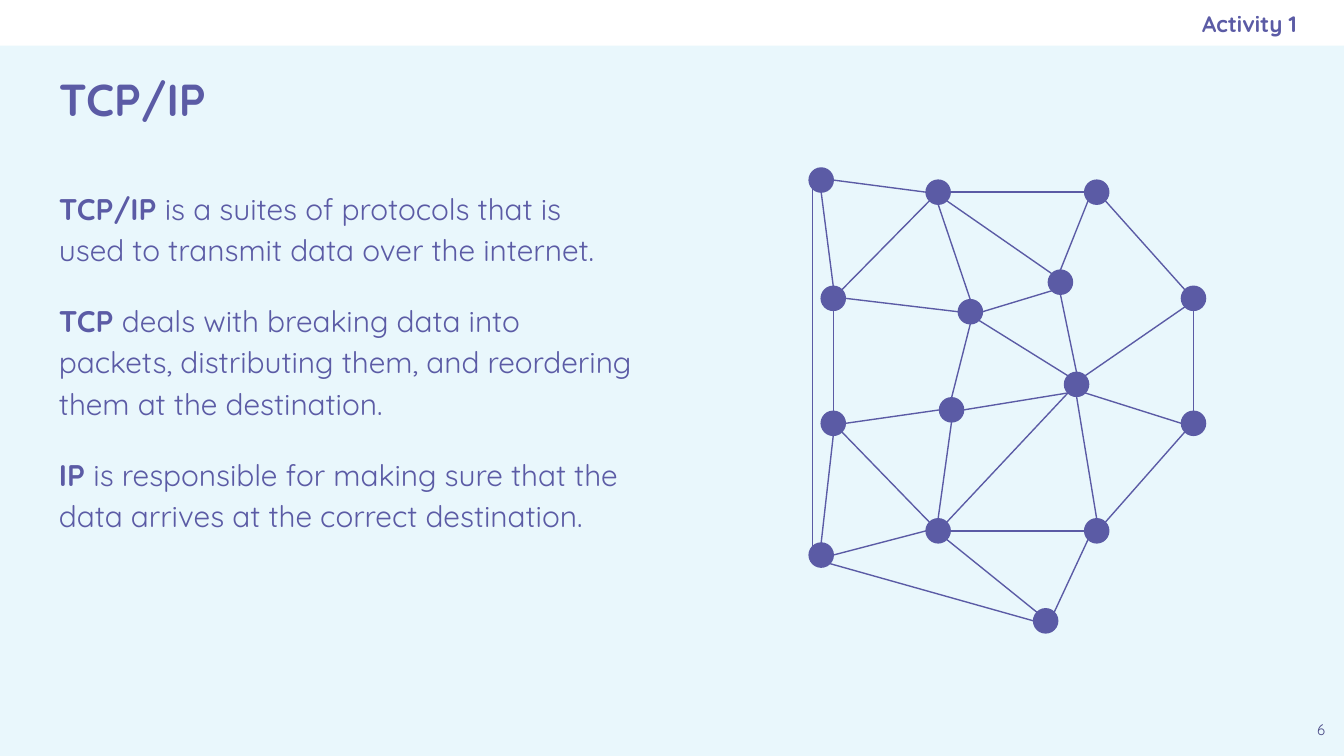
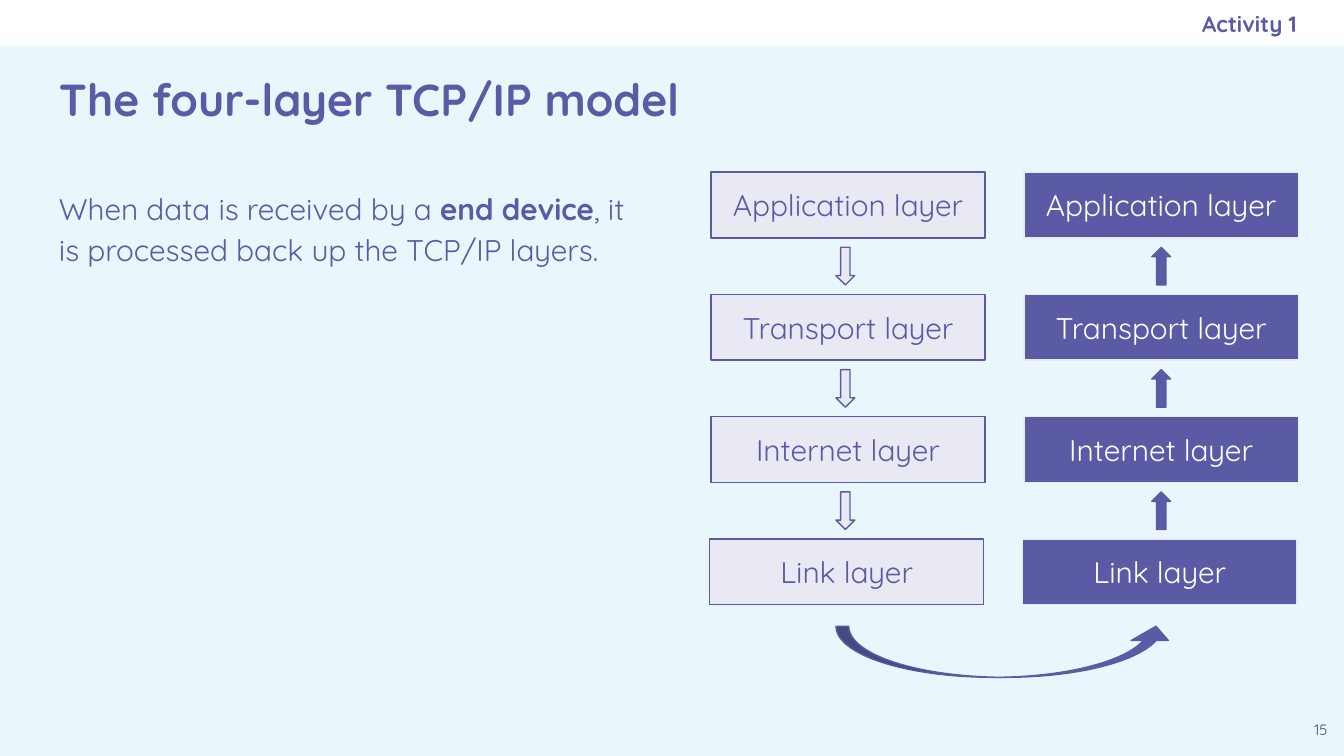
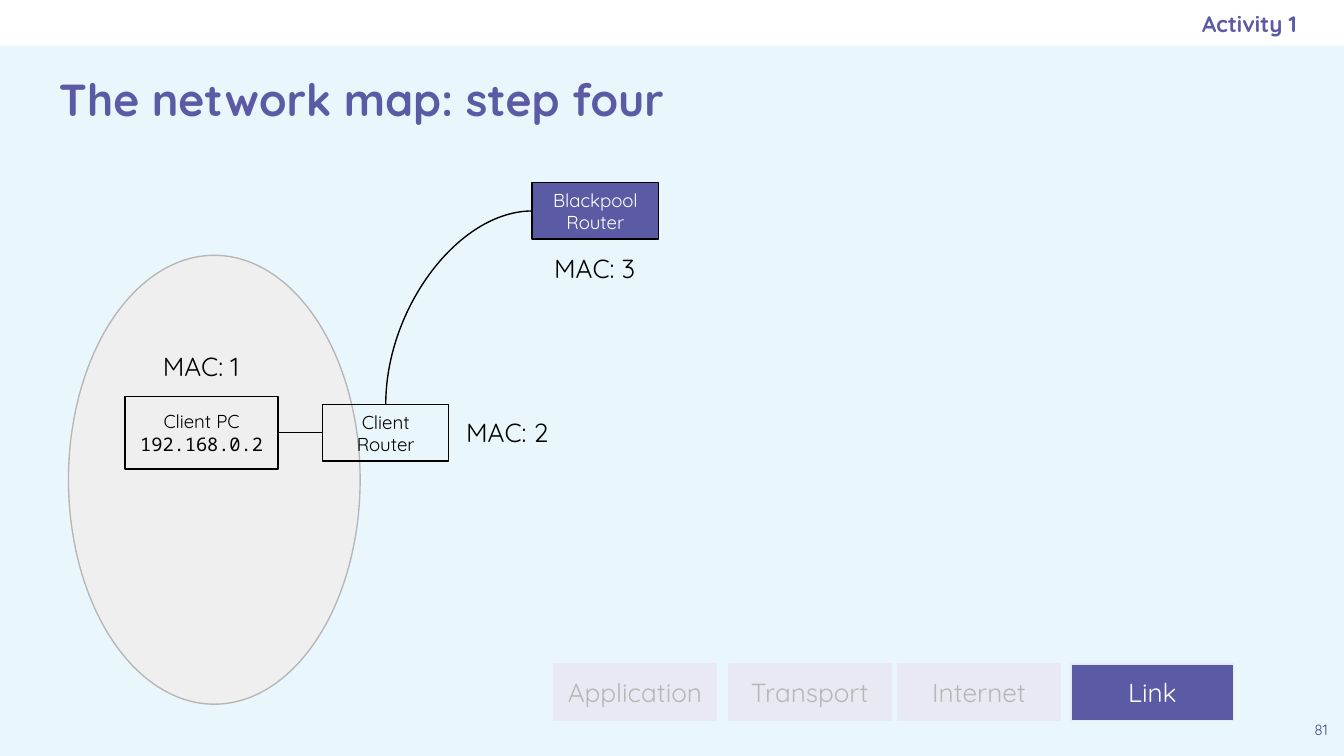
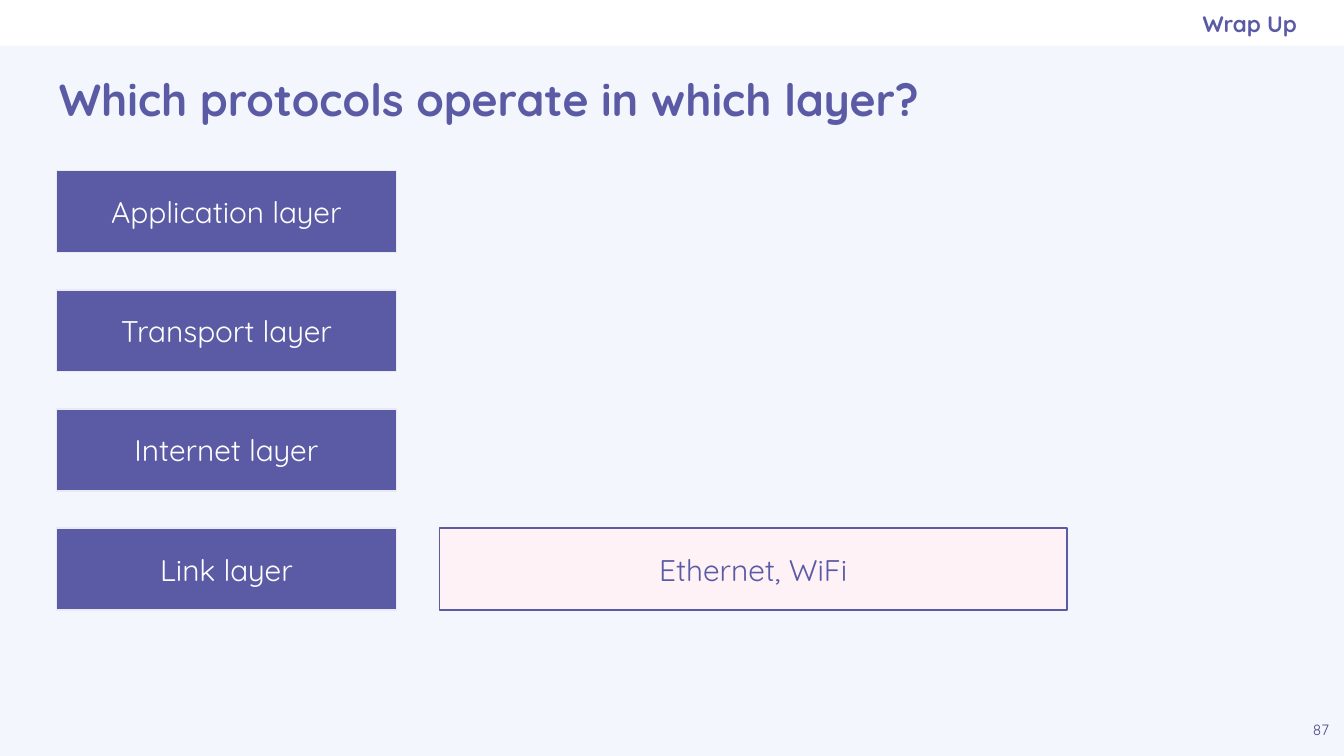
from math import cos, radians, sin

from lxml.etree import SubElement
from pptx import Presentation
from pptx.dml.color import RGBColor
from pptx.enum.shapes import MSO_CONNECTOR, MSO_SHAPE
from pptx.enum.text import MSO_ANCHOR, PP_ALIGN
from pptx.oxml.ns import qn
from pptx.util import Inches, Pt

COLORS = {
    "sky": "E9F7FC",
    "mist": "F3F6FC",
    "white": "FFFFFF",
    "black": "000000",
    "purple": "5B5BA5",
    "indigo": "494985",
    "lilac": "E9E9F3",
    "pink": "FEF2F6",
    "cloud": "EFEFEF",
    "grey": "B7B7B7",
}
FONT = "Quicksand"
CODE_FONT = "Noto Sans Mono"
LAYERS = ("Application", "Transport", "Internet", "Link")

NODE_RADIUS = 0.09
NODES = {
    "A": (6.2, 2.22), "B": (6.98, 1.43), "C": (8.16, 1.43),
    "D": (8.88, 2.22), "E": (6.2, 3.15), "F": (8.88, 3.15),
    "G": (6.98, 3.95), "H": (8.16, 3.95), "I": (6.11, 1.34),
    "J": (7.22, 2.32), "K": (7.08, 3.05), "L": (8.01, 2.86),
    "M": (7.89, 2.1), "N": (7.78, 4.62), "O": (6.11, 4.13),
}
COMPASS = {
    name: radians(45 * step)
    for step, name in enumerate(("e", "se", "s", "sw", "w", "nw", "n", "ne"))
}
LINKS = (
    "B.e C.w", "C.se D.nw", "D.s F.n", "F.sw H.ne", "H.w G.e", "G.nw E.se",
    "E.n A.s", "A.ne B.sw", "I.s A.n", "I.e B.w", "E.s O.n", "O.e G.w",
    "I.sw O.nw", "O.se N.w", "G.se N.nw", "H.sw N.ne", "K.s G.n", "K.w E.e",
    "J.s K.n", "A.e J.w", "B.s J.n", "B.se M.nw", "M.n C.sw", "J.e M.sw",
    "K.e L.sw", "J.se L.nw", "M.s L.n", "L.ne D.sw", "L.se F.w", "L.s H.n",
    "L.sw G.ne",
)


def rgb(name):
    return RGBColor.from_string(COLORS[name])


def write(box, text, size=16, color="purple", bold=False, align=PP_ALIGN.LEFT,
          anchor=MSO_ANCHOR.TOP, above=0.1, right=0.1, spacing=None, before=0):
    frame = box.text_frame
    frame.word_wrap = True
    frame.vertical_anchor = anchor
    frame.margin_left = frame.margin_bottom = Inches(0.1)
    frame.margin_top = Inches(above)
    frame.margin_right = Inches(right)
    for index, line in enumerate(text.split("\n")):
        para = frame.add_paragraph() if index else frame.paragraphs[0]
        para.alignment = align
        if spacing:
            para.line_spacing = spacing
        if index and before:
            para.space_before = Pt(before)
        for position, part in enumerate(line.split("**")):
            if not part:
                continue
            span = para.add_run()
            span.text = part
            span.font.name = FONT
            span.font.size = Pt(size)
            span.font.bold = bold or position % 2 == 1
            span.font.color.rgb = rgb(color)


class Lesson:
    def __init__(self):
        self.deck = Presentation()
        self.deck.slide_width = Inches(10)
        self.deck.slide_height = Inches(10) * 9 // 16
        self.page = None

    def start(self, title, number, section="Activity 1", background="sky"):
        self.page = self.deck.slides.add_slide(self.deck.slide_layouts[6])
        fill = self.page.background.fill
        fill.solid()
        fill.fore_color.rgb = rgb(background)
        self.shape(MSO_SHAPE.RECTANGLE, 0, 0, 10, 0.34, fill="white")
        self.text(title, 0.34, 0.35, 9.32, 0.77, size=24, bold=True,
                  anchor=MSO_ANCHOR.MIDDLE)
        self.text(number, 9.66, 5.28, 0.34, 0.34, size=8, color="indigo",
                  align=PP_ALIGN.CENTER, above=0.13)
        self.text(section, 5.75, 0, 3.9, 0.35, size=12, bold=True, right=0,
                  align=PP_ALIGN.RIGHT, anchor=MSO_ANCHOR.MIDDLE)

    def text(self, text, left, top, width, height, **style):
        box = self.page.shapes.add_textbox(
            Inches(left), Inches(top), Inches(width), Inches(height))
        write(box, text, **style)

    def body(self, text):
        self.text(text, 0.34, 1.28, 4.48, 4, spacing=1.15, before=16)

    def shape(self, kind, left, top, width, height, fill=None, line=None):
        shape = self.page.shapes.add_shape(
            kind, Inches(left), Inches(top), Inches(width), Inches(height))
        shape.shadow.inherit = False
        if fill:
            shape.fill.solid()
            shape.fill.fore_color.rgb = rgb(fill)
        else:
            shape.fill.background()
        if line:
            shape.line.color.rgb = rgb(line)
            shape.line.width = Pt(0.75)
        else:
            shape.line.fill.background()
        return shape

    def label(self, text, left, top, width, height, fill="purple",
              line="lilac", color="white", size=16):
        box = self.shape(MSO_SHAPE.RECTANGLE, left, top, width, height, fill, line)
        write(box, text, size=size, color=color, align=PP_ALIGN.CENTER,
              anchor=MSO_ANCHOR.MIDDLE)
        return box

    def line(self, begin, end, color="purple", kind=MSO_CONNECTOR.STRAIGHT):
        line = self.page.shapes.add_connector(
            kind, *(Inches(value) for value in (*begin, *end)))
        line.line.color.rgb = rgb(color)
        line.line.width = Pt(0.75)
        SubElement(line._element.spPr, qn("a:effectLst"))
        return line

    def join(self, begin, begin_side, end, end_side):
        line = self.line((0, 0), (1, 1), "black", MSO_CONNECTOR.CURVE)
        line.begin_connect(begin, begin_side)
        line.end_connect(end, end_side)
        return line

    def bend(self, begin, end):
        line = self.join(begin, 0, end, 1)
        run, rise = line.width, line.height
        line.left += (run - rise) // 2
        line.top += (rise - run) // 2
        line.width, line.height = rise, run
        properties = line._element.spPr
        properties.find(qn("a:prstGeom")).set("prst", "curvedConnector2")
        properties.xfrm.flipV = False
        properties.xfrm.set("rot", str(270 * 60000))


def node_edge(site):
    node, direction = site.split(".")
    x, y = NODES[node]
    angle = COMPASS[direction]
    return x + NODE_RADIUS * cos(angle), y + NODE_RADIUS * sin(angle)


def protocols_slide(lesson):
    lesson.start("TCP/IP", "6")
    lesson.body(
        "**TCP/IP** is a suites of protocols that is used to transmit data "
        "over the internet.\n"
        "**TCP **deals with breaking data into packets, distributing them, "
        "and reordering them at the destination.\n"
        "**IP **is responsible for making sure that the data arrives at the "
        "correct destination.")
    for x, y in NODES.values():
        lesson.shape(MSO_SHAPE.OVAL, x - NODE_RADIUS, y - NODE_RADIUS,
                     2 * NODE_RADIUS, 2 * NODE_RADIUS, "purple", "purple")
    for link in LINKS:
        lesson.line(*map(node_edge, link.split()))


def model_slide(lesson):
    lesson.start("The four-layer TCP/IP model", "15")
    lesson.body("When data is received by a **end device**, it is processed "
                "back up the TCP/IP layers.")
    columns = (
        (5.29, 6.22, 0, "lilac", "purple", "purple"),
        (7.62, 8.57, 180, "purple", "lilac", "white"),
    )
    for left, arrow_left, rotation, fill, line, color in columns:
        for row, layer in enumerate(LAYERS):
            top = 1.28 + 0.91 * row
            inset = 0.01 if layer == "Link" else 0
            lesson.label(f"{layer} layer", left - inset, top, 2.04, 0.49,
                         fill, line, color)
            if row:
                arrow = lesson.shape(MSO_SHAPE.DOWN_ARROW, arrow_left,
                                     top - 0.35, 0.14, 0.28, fill, "purple")
                arrow.rotation = rotation
    transfer = lesson.shape(MSO_SHAPE.CURVED_UP_ARROW, 6.22, 4.66, 2.52, 0.38,
                            "purple", "purple")
    for index, value in enumerate((0.25, 0.73, 0.28)):
        transfer.adjustments[index] = value


def map_slide(lesson):
    lesson.start("The network map: step four", "81")
    lesson.shape(MSO_SHAPE.OVAL, 0.51, 1.9, 2.17, 3.34, "cloud", "grey")
    client = lesson.label("Client PC\n192.168.0.2", 0.93, 2.95, 1.14, 0.54,
                          None, "black", "black", 10)
    client.text_frame.paragraphs[1].runs[0].font.name = CODE_FONT
    blackpool = lesson.label("Blackpool Router", 3.96, 1.36, 0.94, 0.42,
                             "purple", "black", "white", 10)
    router = lesson.label("Client Router", 2.4, 3.01, 0.94, 0.42,
                          None, "black", "black", 10)
    lesson.join(client, 3, router, 1)
    lesson.bend(router, blackpool)
    for layer, left in zip(LAYERS, (4.12, 5.42, 6.68, 7.97)):
        fill, color = ("purple", "white") if layer == "Link" else ("lilac", "grey")
        lesson.label(layer, left, 4.94, 1.21, 0.42, fill, "lilac", color, 14)
    addresses = ((1.05, 2.51), (3.33, 3), (3.98, 1.78))
    for number, (left, top) in enumerate(addresses, 1):
        lesson.text(f"MAC: {number}", left, top, 0.89, 0.44, size=14,
                    color="black", align=PP_ALIGN.CENTER)


def wrap_up_slide(lesson):
    lesson.start("Which protocols operate in which layer?", "87", "Wrap Up", "mist")
    first_top, last_top = 1.27, 3.93
    step = (last_top - first_top) / (len(LAYERS) - 1)
    for row, layer in enumerate(LAYERS):
        lesson.label(f"{layer} layer", 0.42, first_top + step * row, 2.53, 0.61)
    lesson.label("Ethernet, WiFi", 3.27, last_top, 4.67, 0.61,
                 "pink", "purple", "purple")


def main():
    lesson = Lesson()
    protocols_slide(lesson)
    model_slide(lesson)
    map_slide(lesson)
    wrap_up_slide(lesson)
    lesson.deck.save("out.pptx")


if __name__ == "__main__":
    main()
